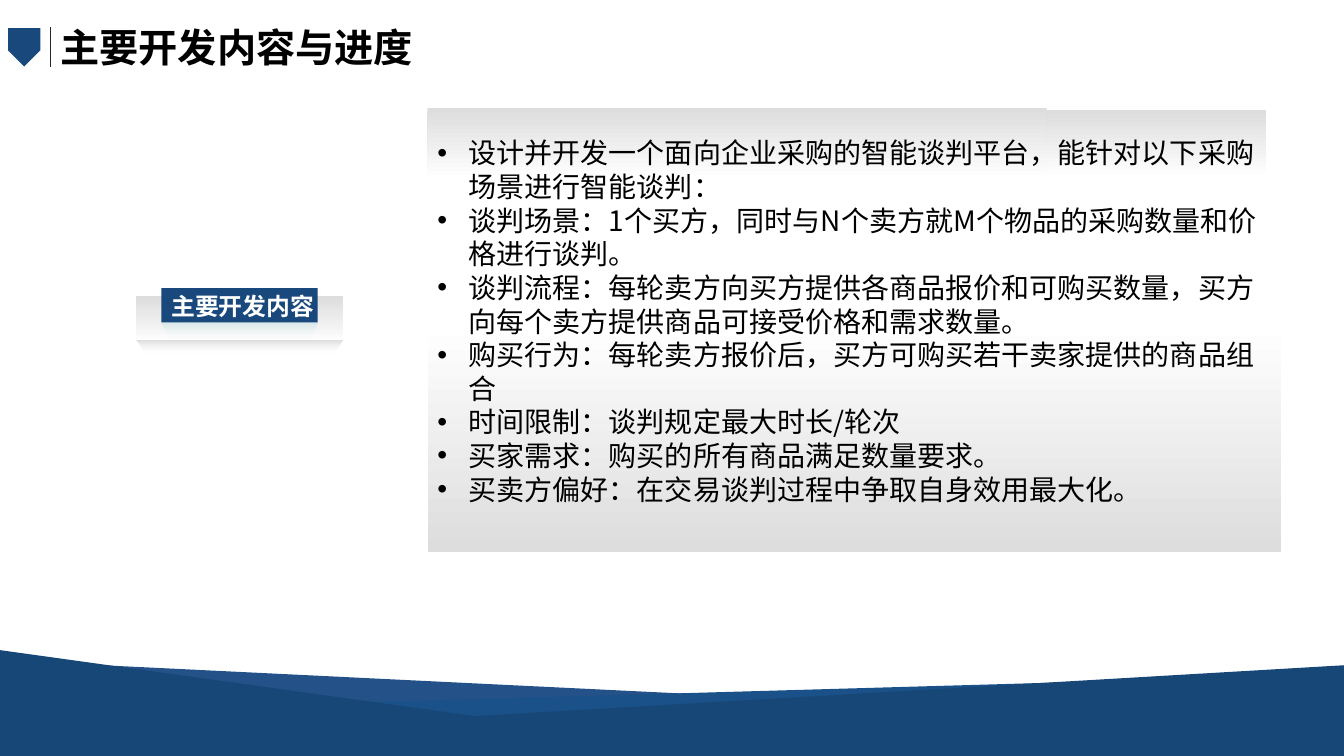
from lxml import etree
from pptx import Presentation
from pptx.dml.color import RGBColor
from pptx.enum.shapes import MSO_CONNECTOR, MSO_SHAPE
from pptx.enum.text import MSO_ANCHOR, MSO_AUTO_SIZE, PP_ALIGN
from pptx.oxml.ns import qn
from pptx.util import Inches, Pt

RECTANGLE = MSO_SHAPE.RECTANGLE
TRIANGLE = MSO_SHAPE.RIGHT_TRIANGLE
PENTAGON = MSO_SHAPE.PENTAGON
STRAIGHT = MSO_CONNECTOR.STRAIGHT
TOP = MSO_ANCHOR.TOP
LEFT = PP_ALIGN.LEFT
NO_AUTOFIT = MSO_AUTO_SIZE.NONE

FONT = "Noto Sans CJK SC"
BLACK = RGBColor(0x00, 0x00, 0x00)
WHITE = RGBColor(0xFF, 0xFF, 0xFF)
GREY = RGBColor(0xDD, 0xDD, 0xDD)
ICE = RGBColor(0xBB, 0xE0, 0xE3)
CHARCOAL = RGBColor(0x26, 0x26, 0x26)
NAVY = RGBColor(0x19, 0x48, 0x7C)
DEEP_NAVY = RGBColor(0x17, 0x47, 0x77)
STEEL = RGBColor(0x23, 0x51, 0x88)
AZURE = RGBColor(0x1A, 0x51, 0x88)

TITLE = "主要开发内容与进度"
LABEL = "主要开发内容"
POINTS = [
    "设计并开发一个面向企业采购的智能谈判平台，能针对以下采购场景进行智能谈判：",
    "谈判场景：1个买方，同时与N个卖方就M个物品的采购数量和价格进行谈判。",
    "谈判流程：每轮卖方向买方提供各商品报价和可购买数量，买方向每个卖方提供商品可接受价格和需求数量。",
    "购买行为：每轮卖方报价后，买方可购买若干卖家提供的商品组合",
    "时间限制：谈判规定最大时长/轮次",
    "买家需求：购买的所有商品满足数量要求。",
    "买卖方偏好：在交易谈判过程中争取自身效用最大化。",
]

# The slide is a grid of square cells, ten to the inch.
CELL = Inches(0.1)
COLUMNS, ROWS = 133.3, 75
LINE_HEIGHT = 1.2
INDENT = 3.1

# left, top, width, height
TITLE_BOX = (5, 1.8, 37.4, 5.7)
BADGE = (0.5, 3.1, 3.8, 3.2)
DIVIDER = (5, 2.7, 6.6)  # column, first row, last row
LABEL_PLATE = (13.5, 29.4, 20.5, 4.7)
LABEL_TAB = (16, 28.6, 15.5, 3.4)
LABEL_BOX = (16, 28.4, 16.8, 3.9)
PANELS = [  # box, rotation
    ((42.4, 32, 84.7, 22.8), 180),
    ((70.1, 10.9, 55.5, 6.8), 0),
    ((42.4, 10.7, 61.4, 7.1), 0),
]
POINTS_BOX = (42.4, 13, 83.3, 38)
SHADES = [  # left, top, width, height, inset of the lower edge, colour, opacity
    (13.5, 33.8, 20.5, 1.4, 1, GREY, 100),
    (16, 32, 15.5, 1.8, 0.75, ICE, 50),
]
WAVES = [  # top row at the left edge, at the right edge, colour
    (65.5, 72, STEEL),
    (70.7, 66.9, AZURE),
]
LEFT_SLOPE = (0, 64.5, 74.1, 10.3)
FRONT_WAVE = (73.8, 66, DEEP_NAVY)


def cells(*values):
    return [round(value * CELL) for value in values]


def paint(shape, colour):
    shape.shadow.inherit = False
    shape.line.fill.background()
    shape.fill.solid()
    shape.fill.fore_color.rgb = colour


def fade(shape, colour, opacities=(100, 100)):
    """Fill from colour at the top to white at the bottom."""
    shape.shadow.inherit = False
    shape.line.fill.background()
    shape.fill.gradient()
    shape.fill.gradient_angle = 270
    for stop, stop_colour in zip(shape.fill.gradient_stops, (colour, WHITE)):
        stop.color.rgb = stop_colour
    for node, opacity in zip(shape.element.iter(qn("a:srgbClr")), opacities):
        if opacity < 100:
            etree.SubElement(node, qn("a:alpha"), val=str(opacity * 1000))


def add_preset(slide, kind, box, rotation=0):
    shape = slide.shapes.add_shape(kind, *cells(*box))
    shape.rotation = rotation
    return shape


def add_outline(slide, corners):
    start, *others = [tuple(cells(*corner)) for corner in corners]
    builder = slide.shapes.build_freeform(*start)
    builder.add_line_segments(others)
    return builder.convert_to_shape()


def add_wave(slide, left_row, right_row, colour):
    corners = [(0, left_row), (COLUMNS, right_row), (COLUMNS, ROWS), (0, ROWS)]
    paint(add_outline(slide, corners), colour)


def write(shape, lines, size, colour=BLACK, bold=False, bullets=False):
    frame = shape.text_frame
    frame.word_wrap = True
    frame.auto_size = NO_AUTOFIT
    frame.vertical_anchor = TOP
    frame.margin_left = frame.margin_right = Inches(0.1)
    frame.margin_top = frame.margin_bottom = Inches(0.05)
    for index, line in enumerate(lines):
        paragraph = frame.add_paragraph() if index else frame.paragraphs[0]
        paragraph.alignment = LEFT
        paragraph.line_spacing = Pt(size * LINE_HEIGHT)
        paragraph.space_before = Pt(0)
        if bullets:
            properties = paragraph._p.get_or_add_pPr()
            indent = cells(INDENT)[0]
            properties.set("marL", str(indent))
            properties.set("indent", str(-indent))
            etree.SubElement(properties, qn("a:buFont"), typeface="Arial")
            etree.SubElement(properties, qn("a:buChar"), char="•")
        run = paragraph.add_run()
        run.text = line
        run.font.name = FONT
        run.font.size = Pt(size)
        run.font.bold = bold
        run.font.color.rgb = colour
        etree.SubElement(run.font._element, qn("a:ea"), typeface=FONT)


def add_text(slide, box, lines, size, **style):
    write(slide.shapes.add_textbox(*cells(*box)), lines, size, **style)


def add_label(slide):
    fade(add_preset(slide, RECTANGLE, LABEL_PLATE), GREY)
    for left, top, width, height, inset, colour, opacity in SHADES:
        right, bottom = left + width, top + height
        corners = [(left, top), (left + inset, bottom), (right - inset, bottom), (right, top)]
        fade(add_outline(slide, corners), colour, (opacity, 0))
    paint(add_preset(slide, RECTANGLE, LABEL_TAB), NAVY)
    add_text(slide, LABEL_BOX, [LABEL], 17, colour=WHITE, bold=True)


def add_footer(slide):
    for wave in WAVES:
        add_wave(slide, *wave)
    paint(add_preset(slide, TRIANGLE, LEFT_SLOPE), DEEP_NAVY)
    add_wave(slide, *FRONT_WAVE)


def add_points(slide):
    for box, rotation in PANELS:
        fade(add_preset(slide, RECTANGLE, box, rotation), GREY)
    add_text(slide, POINTS_BOX, POINTS, 20, bullets=True)


def add_heading(slide):
    paint(add_preset(slide, PENTAGON, BADGE, 90), NAVY)
    column, first_row, last_row = DIVIDER
    divider = slide.shapes.add_connector(STRAIGHT, *cells(column, first_row, column, last_row))
    divider.line.color.rgb = CHARCOAL
    divider.line.width = Pt(0.5)
    etree.SubElement(divider.element.spPr, qn("a:effectLst"))
    title = slide.shapes.title
    title.left, title.top, title.width, title.height = cells(*TITLE_BOX)
    write(title, [TITLE], 28, bold=True)


def main():
    presentation = Presentation()
    presentation.slide_width, presentation.slide_height = cells(COLUMNS, ROWS)
    slide = presentation.slides.add_slide(presentation.slide_layouts[5])
    add_label(slide)
    add_footer(slide)
    add_points(slide)
    add_heading(slide)
    presentation.save("out.pptx")


if __name__ == "__main__":
    main()
